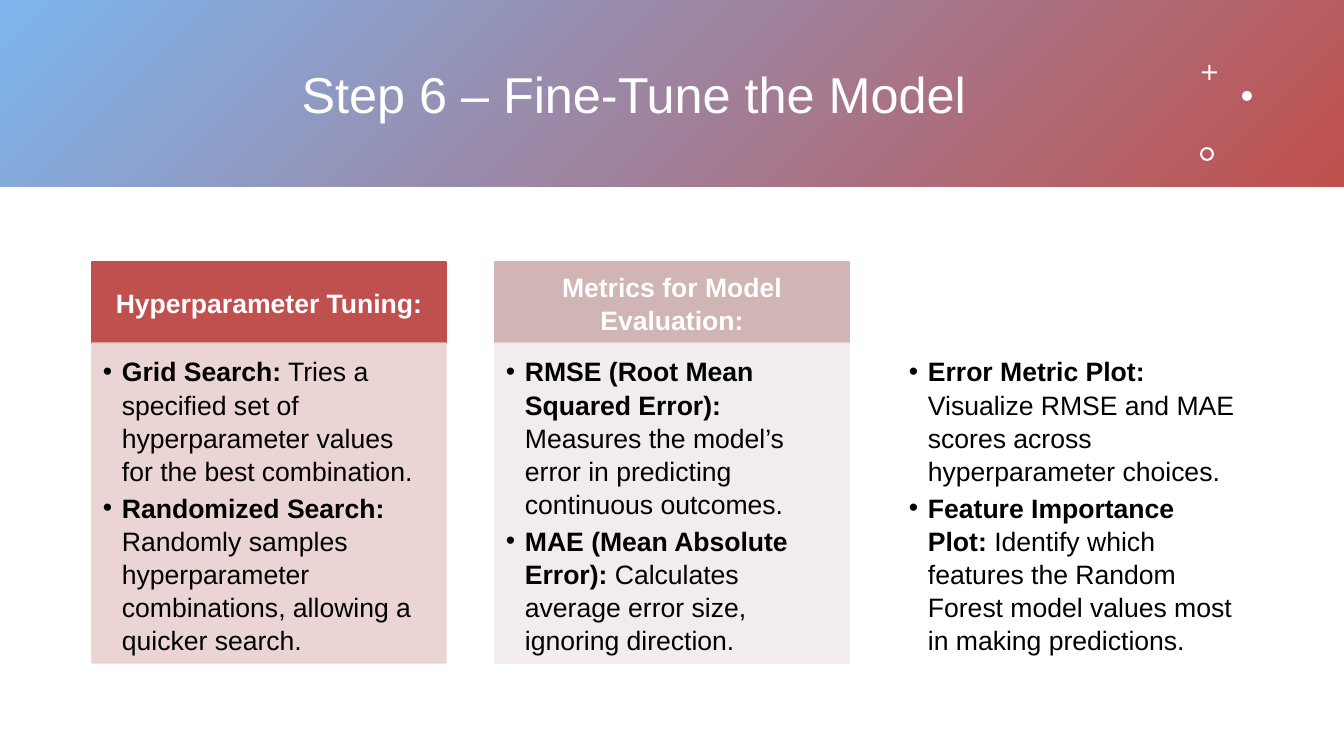
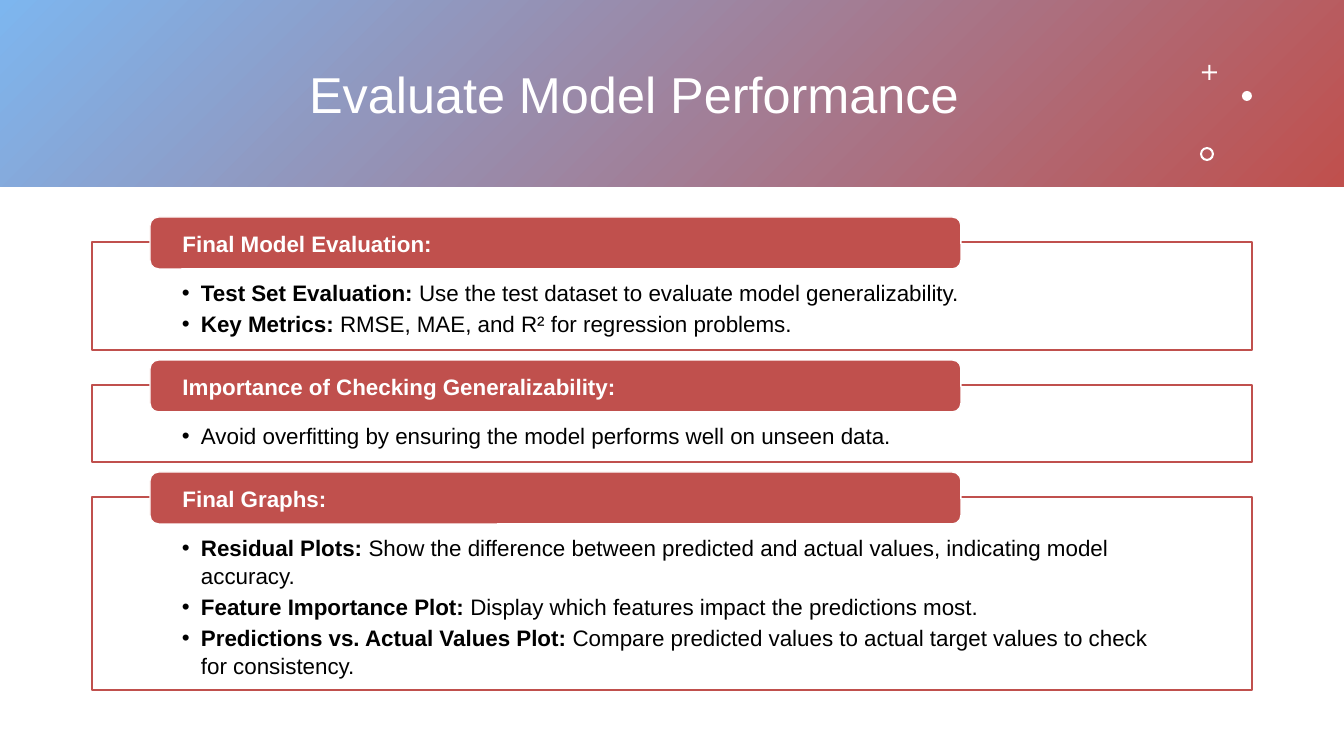
from lxml import etree
from pptx import Presentation
from pptx import util as u
from pptx.dml.color import RGBColor
from pptx.enum import shapes, text
from pptx.oxml import ns

SLIDE_WIDTH, SLIDE_HEIGHT = 1344, 756
EMU_PER_PX = 12192000 / SLIDE_WIDTH
MARGIN = 92
CONTENT_WIDTH = SLIDE_WIDTH - 2 * MARGIN
FONT = "Arial"
LINE_SPACING = 1.04

WHITE = RGBColor(0xFF, 0xFF, 0xFF)
BLACK = RGBColor(0x00, 0x00, 0x00)
SKY = RGBColor(0x7D, 0xB6, 0xEF)
RED = RGBColor(0xC0, 0x50, 0x4D)
RED_TINT = RGBColor(0xE8, 0xD0, 0xD0)
ROSE = RGBColor(0xD1, 0xB4, 0xB4)
ROSE_TINT = RGBColor(0xF1, 0xEB, 0xEB)

Kind = shapes.MSO_SHAPE
Align = text.PP_ALIGN
Anchor = text.MSO_ANCHOR

COLUMNS = [
    ("Hyperparameter Tuning:", RED, RED_TINT, [
        ("Grid Search:", " Tries a specified set of hyperparameter values for the best combination."),
        ("Randomized Search:", " Randomly samples hyperparameter combinations, allowing a quicker search."),
    ]),
    ("Metrics for Model Evaluation:", ROSE, ROSE_TINT, [
        ("RMSE (Root Mean Squared Error):", " Measures the model’s error in predicting continuous outcomes."),
        ("MAE (Mean Absolute Error):", " Calculates average error size, ignoring direction."),
    ]),
    (None, WHITE, WHITE, [
        ("Error Metric Plot:", " Visualize RMSE and MAE scores across hyperparameter choices."),
        ("Feature Importance Plot:",
         " Identify which features the Random Forest model values most in making predictions."),
    ]),
]

SECTIONS = [
    ("Final Model Evaluation:", 108, [
        ("Test Set Evaluation:", " Use the test dataset to evaluate model generalizability."),
        ("Key Metrics:", " RMSE, MAE, and R² for regression problems."),
    ]),
    ("Importance of Checking Generalizability:", 77, [
        ("", "Avoid overfitting by ensuring the model performs well on unseen data."),
    ]),
    ("Final Graphs:", 193, [
        ("Residual Plots:",
         " Show the difference between predicted and actual values, indicating model accuracy."),
        ("Feature Importance Plot:", " Display which features impact the predictions most."),
        ("Predictions vs. Actual Values Plot:",
         " Compare predicted values to actual target values to check for consistency."),
    ]),
]


def px(length):
    return u.Emu(round(length * EMU_PER_PX))


def add_block(slide, kind, box, fill, line=None):
    shape = slide.shapes.add_shape(kind, *map(px, box))
    shape.shadow.inherit = False
    shape.fill.solid()
    shape.fill.fore_color.rgb = fill
    if line is None:
        shape.line.fill.background()
    else:
        shape.line.color.rgb = line
        shape.line.width = u.Pt(1)
    return shape


def set_opacity(shape, percent):
    for color in shape._element.spPr.iter(ns.qn("a:srgbClr")):
        etree.SubElement(color, ns.qn("a:alpha"), val=str(percent * 1000))


def set_frame(shape, insets, anchor):
    frame = shape.text_frame
    frame.word_wrap = True
    frame.vertical_anchor = anchor
    frame.margin_left, frame.margin_top, frame.margin_right, frame.margin_bottom = map(px, insets)
    return frame


def style_paragraph(paragraph, size, color, align, bold=None):
    paragraph.alignment = align
    font = paragraph.font
    font.name = FONT
    font.size = u.Pt(size)
    font.color.rgb = color
    font.bold = bold


def write_heading(shape, words, size, insets, align):
    paragraph = set_frame(shape, insets, Anchor.MIDDLE).paragraphs[0]
    paragraph.text = words
    paragraph.line_spacing = LINE_SPACING
    style_paragraph(paragraph, size, WHITE, align, bold=True)


def add_bullet(paragraph, indent):
    properties = paragraph._p.get_or_add_pPr()
    properties.set("marL", str(px(indent)))
    properties.set("indent", str(-px(indent)))
    etree.SubElement(properties, ns.qn("a:buFont"), typeface=FONT)
    etree.SubElement(properties, ns.qn("a:buChar"), char="•")


def write_bullets(shape, items, size, insets):
    frame = set_frame(shape, insets, Anchor.TOP)
    for index, (lead, rest) in enumerate(items):
        paragraph = frame.add_paragraph() if index else frame.paragraphs[0]
        add_bullet(paragraph, 19)
        paragraph.line_spacing = LINE_SPACING
        paragraph.space_after = u.Pt(size * 0.14)
        style_paragraph(paragraph, size, BLACK, Align.LEFT)
        for words, bold in ((lead, True), (rest, False)):
            if words:
                run = paragraph.add_run()
                run.text = words
                run.font.bold = bold


def add_band(slide):
    band = add_block(slide, Kind.RECTANGLE, (0, 0, SLIDE_WIDTH, 187), SKY)
    band.fill.gradient()
    band.fill.gradient_angle = 315
    for stop, position, color in zip(band.fill.gradient_stops, (0, 1), (SKY, RED)):
        stop.position = position
        stop.color.rgb = color


def add_ornaments(slide):
    plus = add_block(slide, Kind.CROSS, (1202, 65, 15, 15), WHITE)
    plus.adjustments[0] = 0.43
    add_block(slide, Kind.OVAL, (1242, 91, 10, 10), WHITE)
    ring = add_block(slide, Kind.DONUT, (1200, 147, 14, 14), WHITE)
    ring.adjustments[0] = 0.15


def add_titled_slide(presentation, title):
    slide = presentation.slides.add_slide(presentation.slide_layouts[6])
    add_band(slide)
    title_box = slide.shapes.add_textbox(*map(px, (MARGIN, 33, 1084, 120)))
    paragraph = set_frame(title_box, (10, 5, 10, 5), Anchor.MIDDLE).paragraphs[0]
    paragraph.text = title
    style_paragraph(paragraph, 36, WHITE, Align.CENTER)
    add_ornaments(slide)
    return slide


def add_columns(slide, columns):
    top, width, header_height, body_height = 262, 354, 81, 320
    step = (CONTENT_WIDTH - width) / (len(columns) - 1)
    for index, (heading, color, tint, items) in enumerate(columns):
        left = MARGIN + index * step
        if heading:
            header = add_block(slide, Kind.RECTANGLE, (left, top, width, header_height), color, color)
            write_heading(header, heading, 19, (15, 8, 15, 8), Align.CENTER)
        body = add_block(slide, Kind.RECTANGLE, (left, top + header_height, width, body_height), tint, tint)
        set_opacity(body, 90)
        write_bullets(body, items, 19, (11, 11, 15, 17))


def add_sections(slide, sections):
    top, gap, tab_rise = 242, 35, 25
    for heading, height, items in sections:
        panel = add_block(slide, Kind.RECTANGLE, (MARGIN, top, CONTENT_WIDTH, height), WHITE, RED)
        write_bullets(panel, items, 16, (90, 36, 90, 12))
        tab = add_block(slide, Kind.ROUNDED_RECTANGLE, (150, top - tab_rise, 811, 52), RED, WHITE)
        write_heading(tab, heading, 16, (30, 0, 30, 0), Align.LEFT)
        top += height + gap


def main():
    presentation = Presentation()
    presentation.slide_width = px(SLIDE_WIDTH)
    presentation.slide_height = px(SLIDE_HEIGHT)
    add_columns(add_titled_slide(presentation, "Step 6 – Fine-Tune the Model"), COLUMNS)
    add_sections(add_titled_slide(presentation, "Evaluate Model Performance"), SECTIONS)
    presentation.save("out.pptx")


if __name__ == "__main__":
    main()
